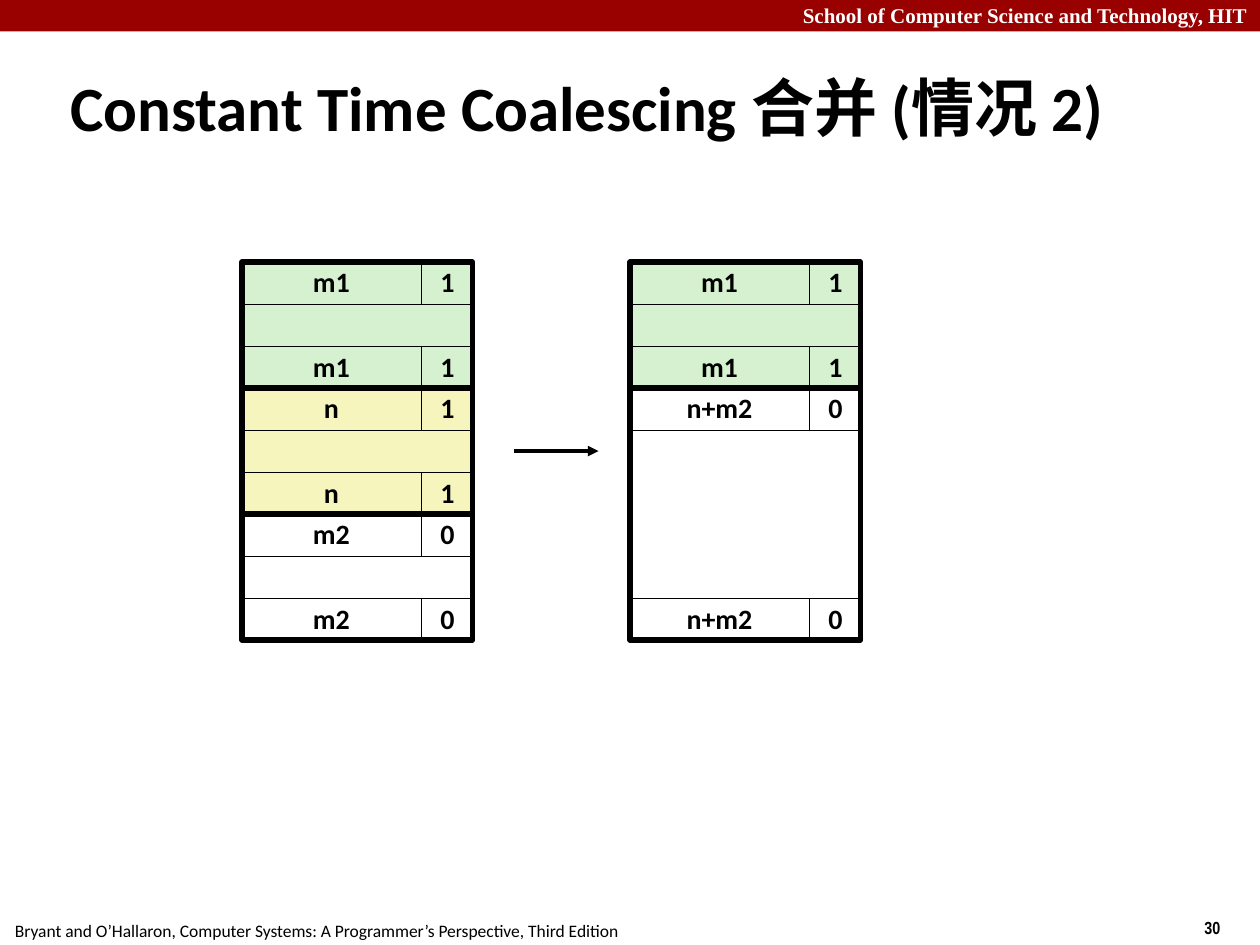
from lxml.etree import SubElement
from pptx import Presentation
from pptx.dml.color import RGBColor
from pptx.enum.shapes import MSO_CONNECTOR, MSO_SHAPE
from pptx.enum.text import MSO_ANCHOR, PP_ALIGN
from pptx.oxml.ns import qn
from pptx.util import Inches, Pt

BLACK = RGBColor(0x00, 0x00, 0x00)
WHITE = RGBColor(0xFF, 0xFF, 0xFF)
CRIMSON = RGBColor(0x99, 0x00, 0x00)
GREEN = RGBColor(0xD5, 0xF1, 0xCF)
YELLOW = RGBColor(0xF6, 0xF5, 0xBD)

ROW = 1 / 3
SIZE_WIDTH = 1.42
FLAG_WIDTH = 0.42
BLOCK_WIDTH = 1.83
HEAP_TOP = 2.08
BEFORE_LEFT = 1.92
AFTER_LEFT = 5


def write(frame, text, size=16, font="Calibri", color=BLACK, bold=True,
          align=PP_ALIGN.LEFT, anchor=MSO_ANCHOR.TOP, spacing=None, wrap=True):
    frame.word_wrap = wrap
    frame.vertical_anchor = anchor
    paragraph = frame.paragraphs[0]
    paragraph.alignment = align
    paragraph.line_spacing = spacing
    run = paragraph.add_run()
    run.text = text
    run.font.size = Pt(size)
    run.font.name = font
    run.font.bold = bold
    run.font.color.rgb = color


def add_label(slide, text, left, top, width, height, **style):
    label = slide.shapes.add_textbox(
        Inches(left), Inches(top), Inches(width), Inches(height))
    write(label.text_frame, text, **style)


def add_box(slide, left, top, width, height, fill=None, line=None, text=None):
    box = slide.shapes.add_shape(
        MSO_SHAPE.RECTANGLE,
        Inches(left), Inches(top), Inches(width), Inches(height))
    box.shadow.inherit = False
    if fill is None:
        box.fill.background()
    else:
        box.fill.solid()
        box.fill.fore_color.rgb = fill
    if line is None:
        box.line.fill.background()
    else:
        box.line.color.rgb = BLACK
        box.line.width = Pt(line)
    if text:
        write(box.text_frame, text, align=PP_ALIGN.CENTER,
              anchor=MSO_ANCHOR.MIDDLE, spacing=0.98)


def add_block(slide, left, top, size, flag, fill, rows=3):
    height = rows * ROW
    for tag_top in (top, top + height - ROW):
        add_box(slide, left, tag_top, SIZE_WIDTH, ROW, fill, 0.25, size)
        add_box(slide, left + SIZE_WIDTH, tag_top, FLAG_WIDTH, ROW,
                fill, 0.25, flag)
    add_box(slide, left, top + ROW, BLOCK_WIDTH, height - 2 * ROW, fill, 0.25)
    add_box(slide, left, top, BLOCK_WIDTH, height, line=3)


def add_heap(slide, left, blocks):
    top = HEAP_TOP
    for size, flag, fill, rows in blocks:
        add_block(slide, left, top, size, flag, fill, rows)
        top += rows * ROW


def add_arrow(slide, start, end, y):
    arrow = slide.shapes.add_connector(
        MSO_CONNECTOR.STRAIGHT,
        Inches(start), Inches(y), Inches(end), Inches(y))
    arrow.line.color.rgb = BLACK
    arrow.line.width = Pt(2)
    SubElement(arrow.line._get_or_add_ln(), qn("a:tailEnd"), type="triangle")
    SubElement(arrow._element.spPr, qn("a:effectLst"))


def main():
    deck = Presentation()
    deck.slide_width = Inches(10)
    deck.slide_height = Inches(7.5)
    slide = deck.slides.add_slide(deck.slide_layouts[6])

    add_box(slide, 0, 0, 10, 0.25, CRIMSON)
    add_label(slide, "30", 9.46, 7.23, 0.75, 0.27,
              size=10, font="Arial Narrow")
    add_label(slide, "Bryant and O’Hallaron, Computer Systems: "
              "A Programmer’s Perspective, Third Edition",
              0.02, 7.25, 5.01, 0.27, size=10, bold=False, wrap=False)
    add_label(slide, "School of Computer Science and Technology, HIT",
              0, -0.03, 10, 0.3, size=12, font="Times New Roman",
              color=WHITE, align=PP_ALIGN.RIGHT)

    add_heap(slide, BEFORE_LEFT, [
        ("m1", "1", GREEN, 3), ("n", "1", YELLOW, 3), ("m2", "0", WHITE, 3)])
    add_heap(slide, AFTER_LEFT, [
        ("m1", "1", GREEN, 3), ("n+m2", "0", WHITE, 6)])
    add_arrow(slide, 4.08, 4.75, 3.58)

    add_label(slide, "Constant Time Coalescing 合并 (情况 2)",
              0.46, 0.53, 9.08, 0.63, size=36, anchor=MSO_ANCHOR.MIDDLE)

    deck.save("out.pptx")


if __name__ == "__main__":
    main()
